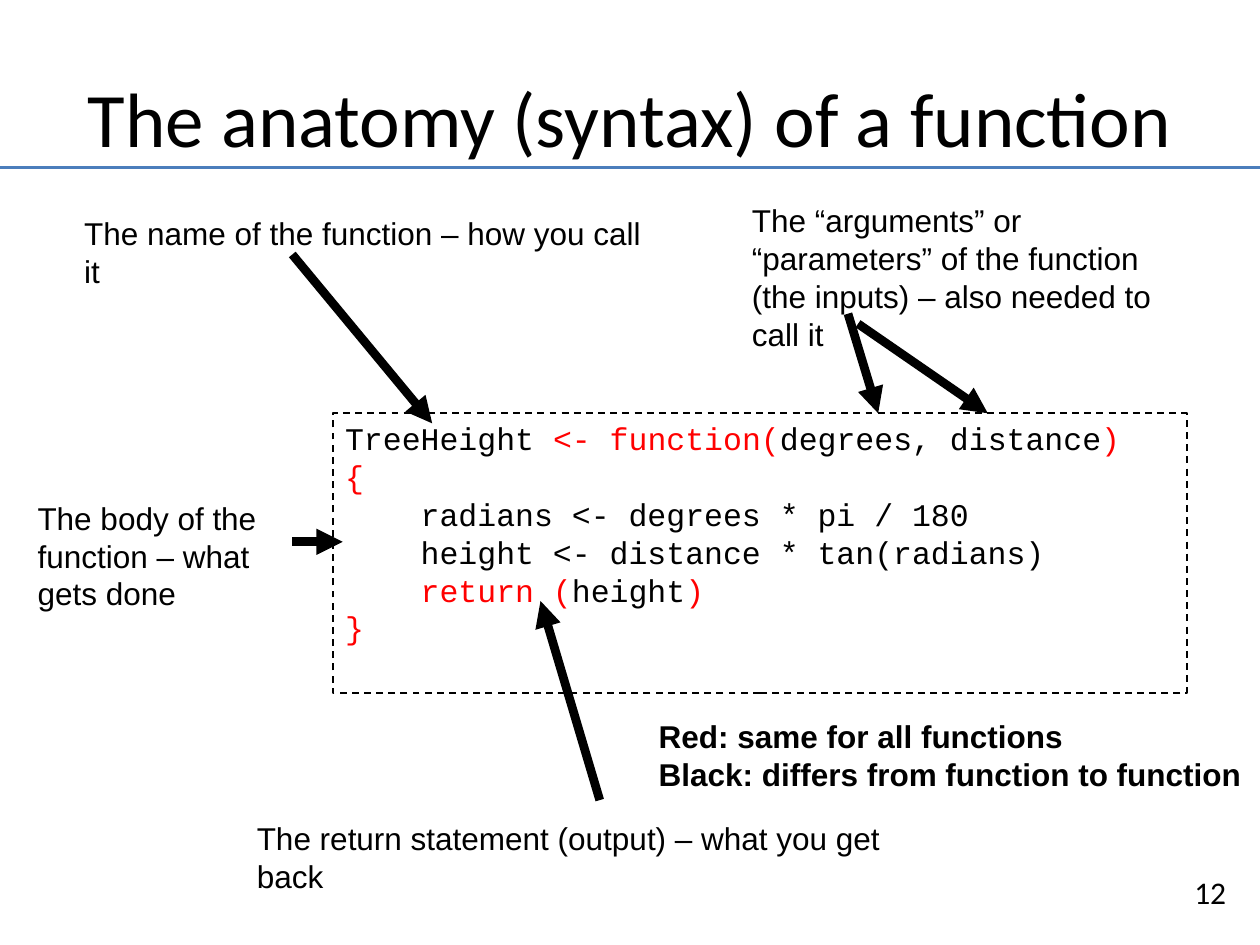
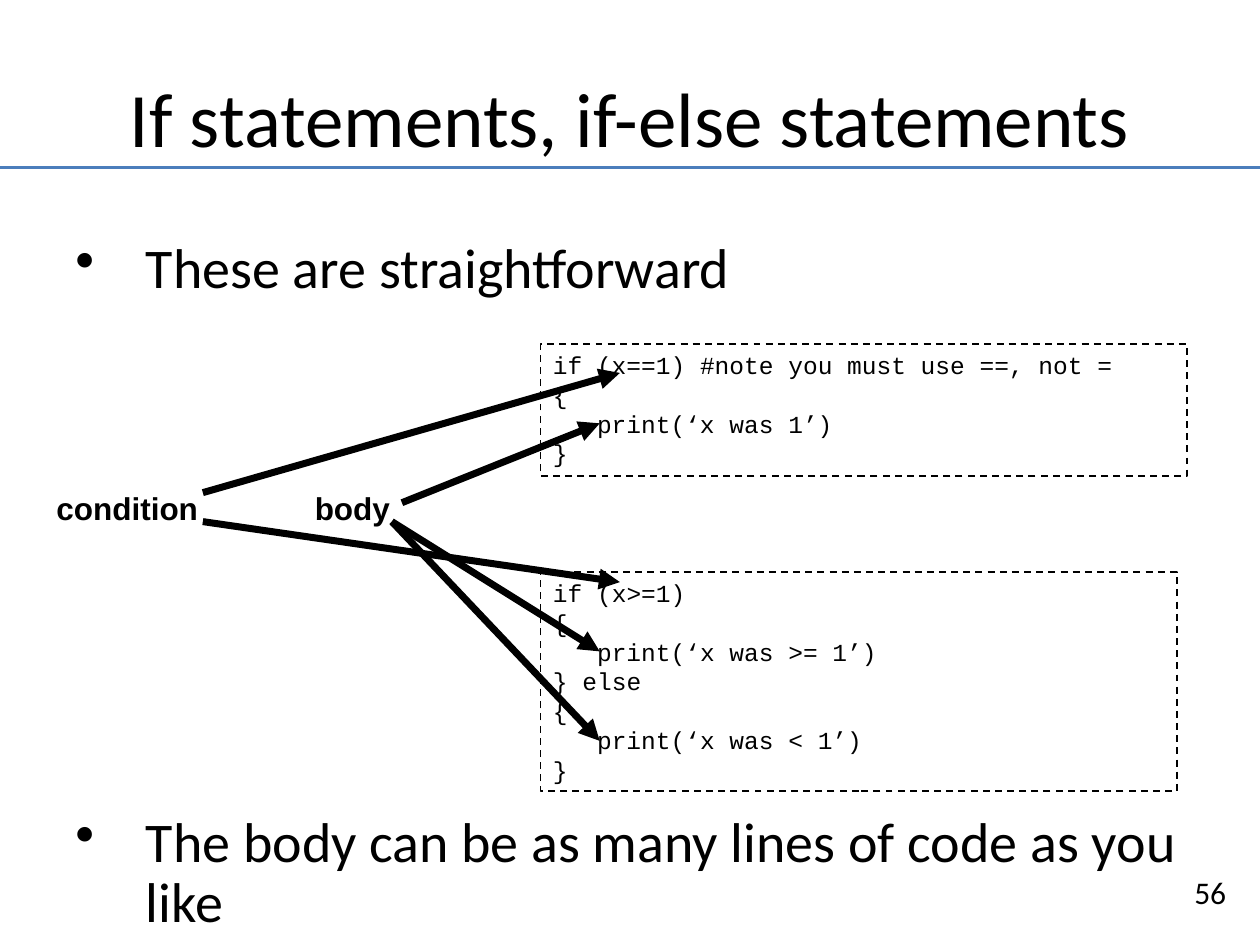
from dataclasses import dataclass

from lxml.etree import SubElement
from pptx import Presentation
from pptx.dml.color import RGBColor
from pptx.enum.dml import MSO_LINE
from pptx.enum.shapes import MSO_CONNECTOR, MSO_SHAPE
from pptx.enum.text import MSO_ANCHOR, PP_ALIGN
from pptx.oxml.ns import qn
from pptx.util import Inches, Pt


@dataclass(frozen=True)
class Theme:
    ink: RGBColor = RGBColor(0x00, 0x00, 0x00)
    keyword: RGBColor = RGBColor(0xFF, 0x00, 0x00)
    rule: RGBColor = RGBColor(0x4B, 0x7E, 0xBC)
    heading_font: str = "Calibri"
    label_font: str = "Arial"
    code_font: str = "Courier New"
    title_size: int = 44
    bullet_size: int = 32
    label_size: int = 18
    small_code_size: int = 14


class Deck:
    def __init__(self, theme):
        self.theme = theme
        self.presentation = Presentation()
        self.presentation.slide_width = Inches(10)
        self.presentation.slide_height = Inches(7.5)
        self.slide = None

    def new_slide(self, title, number):
        theme = self.theme
        blank = self.presentation.slide_layouts[6]
        self.slide = self.presentation.slides.add_slide(blank)
        heading = self.text([title], 0.5, 0.3, 9, 1.25, theme.heading_font, theme.title_size)
        heading.vertical_anchor = MSO_ANCHOR.MIDDLE
        heading.paragraphs[0].alignment = PP_ALIGN.CENTER
        self.line((0, 1.33), (10, 1.33), theme.rule, 1.75)
        self.text([str(number)], 9.38, 6.88, 0.45, 0.4, theme.heading_font,
                  theme.label_size, wrap=False)

    def style(self, paragraph, font, size, bold=False):
        paragraph.font.name = font
        paragraph.font.size = Pt(size)
        paragraph.font.bold = bold
        paragraph.font.color.rgb = self.theme.ink

    def text(self, lines, left, top, width, height, font, size, bold=False, wrap=True):
        box = self.slide.shapes.add_textbox(
            Inches(left), Inches(top), Inches(width), Inches(height))
        frame = box.text_frame
        frame.word_wrap = wrap
        frame.text = "\n".join(lines)
        for paragraph in frame.paragraphs:
            self.style(paragraph, font, size, bold)
        return frame

    def label(self, lines, left, top, width, height=0.4, bold=False, wrap=False):
        self.text(lines, left, top, width, height, self.theme.label_font,
                  self.theme.label_size, bold, wrap)

    def bullets(self, items, left, top, width, height, gap):
        frame = self.text(items, left, top, width, height,
                          self.theme.heading_font, self.theme.bullet_size)
        for index, paragraph in enumerate(frame.paragraphs):
            paragraph.line_spacing = 0.9
            paragraph.space_before = Pt(gap if index else 0)
            properties = paragraph._p.get_or_add_pPr()
            properties.set("marL", str(Inches(0.56)))
            properties.set("indent", str(Inches(-0.56)))
            bullet = properties.makeelement(qn("a:buChar"), {"char": "•"})
            properties.insert_element_before(bullet, "a:tabLst", "a:defRPr", "a:extLst")

    def code(self, lines, left, top, width, height, size, indent):
        box = self.slide.shapes.add_shape(
            MSO_SHAPE.RECTANGLE, Inches(left), Inches(top), Inches(width), Inches(height))
        box.shadow.inherit = False
        box.fill.background()
        box.line.color.rgb = self.theme.ink
        box.line.width = Pt(1)
        box.line.dash_style = MSO_LINE.DASH
        frame = box.text_frame
        frame.word_wrap = True
        frame.vertical_anchor = MSO_ANCHOR.TOP
        for index, (depth, *parts) in enumerate(lines):
            paragraph = frame.add_paragraph() if index else frame.paragraphs[0]
            paragraph.alignment = PP_ALIGN.LEFT
            self.style(paragraph, self.theme.code_font, size)
            margin = paragraph._p.get_or_add_pPr()
            margin.set("marL", str(Inches(indent * depth)))
            margin.set("indent", "0")
            for words, color in parts:
                run = paragraph.add_run()
                run.text = words
                run.font.color.rgb = color

    def line(self, start, end, color, weight):
        connector = self.slide.shapes.add_connector(
            MSO_CONNECTOR.STRAIGHT, *(Inches(value) for value in (*start, *end)))
        connector.line.color.rgb = color
        connector.line.width = Pt(weight)
        SubElement(connector._element.spPr, qn("a:effectLst"))
        return connector

    def arrow(self, start, end, weight):
        connector = self.line(start, end, self.theme.ink, weight)
        SubElement(connector.line._get_or_add_ln(), qn("a:tailEnd"), type="triangle")


def add_function_anatomy(deck):
    theme = deck.theme
    ink, keyword = theme.ink, theme.keyword
    deck.new_slide("The anatomy (syntax) of a function", 12)
    tree_height = [
        (0, ("TreeHeight ", ink), ("<- function(", keyword),
         ("degrees, distance", ink), (")", keyword)),
        (0, ("{", keyword)),
        (1, ("radians <- degrees * pi / 180", ink)),
        (1, ("height <- distance * tan(radians)", ink)),
        (1, ("return (", keyword), ("height", ink), (")", keyword)),
        (0, ("}", keyword)),
    ]
    deck.code(tree_height, 2.64, 3.28, 6.78, 2.22, theme.label_size, 0.6)
    deck.label(["The name of the function – how you call it"], 0.57, 1.65, 4.81)
    deck.label(["The “arguments” or “parameters” of the function (the inputs) – "
                "also needed to call it"], 5.87, 1.55, 3.57, 1.3, wrap=True)
    deck.label(["The body of the function – what gets done"],
               0.2, 3.91, 1.97, 1, wrap=True)
    deck.label(["The return statement (output) – what you get back"], 1.94, 6.45, 5.74)
    for start, end in [
        ((2.32, 2.02), (3.43, 3.36)),
        ((6.73, 2.49), (6.97, 3.28)),
        ((6.81, 2.57), (7.84, 3.28)),
        ((2.32, 4.3), (2.72, 4.3)),
        ((4.76, 6.35), (4.29, 4.77)),
    ]:
        deck.arrow(start, end, 5)
    deck.label(["Red: same for all functions", "Black: differs from function to function"],
               5.13, 5.64, 4.87, 0.71, bold=True)


def add_if_statements(deck):
    theme = deck.theme
    deck.new_slide("If statements, if-else statements", 56)
    deck.bullets(["These are straightforward",
                  "The body can be as many lines of code as you like"],
                 0.5, 1.86, 9, 4.95, gap=293)
    if_lines = [
        (0, "if (x==1) #note you must use ==, not ="),
        (0, "{"),
        (1, "print(‘x was 1’)"),
        (0, "}"),
    ]
    if_else_lines = [
        (0, "if (x>=1)"),
        (0, "{"),
        (1, "print(‘x was >= 1’)"),
        (0, "} else"),
        (0, "{"),
        (1, "print(‘x was < 1’)"),
        (0, "}"),
    ]
    for lines, top, width, height in [
        (if_lines, 2.73, 5.13, 1.05),
        (if_else_lines, 4.54, 5.05, 1.74),
    ]:
        black_lines = [(depth, (words, theme.ink)) for depth, words in lines]
        deck.code(black_lines, 4.29, top, width, height, theme.small_code_size, 0.35)
    deck.label(["condition"], 0.35, 3.83, 1.33, bold=True)
    deck.label(["body"], 2.4, 3.83, 0.8, bold=True)
    for start, end in [
        ((1.61, 3.91), (4.92, 2.96)),
        ((1.61, 4.14), (4.92, 4.62)),
        ((3.11, 4.14), (4.76, 5.17)),
        ((3.11, 4.14), (4.76, 5.88)),
        ((3.19, 3.99), (4.76, 3.36)),
    ]:
        deck.arrow(start, end, 4)


def main():
    deck = Deck(Theme())
    add_function_anatomy(deck)
    add_if_statements(deck)
    deck.presentation.save("out.pptx")


if __name__ == "__main__":
    main()
